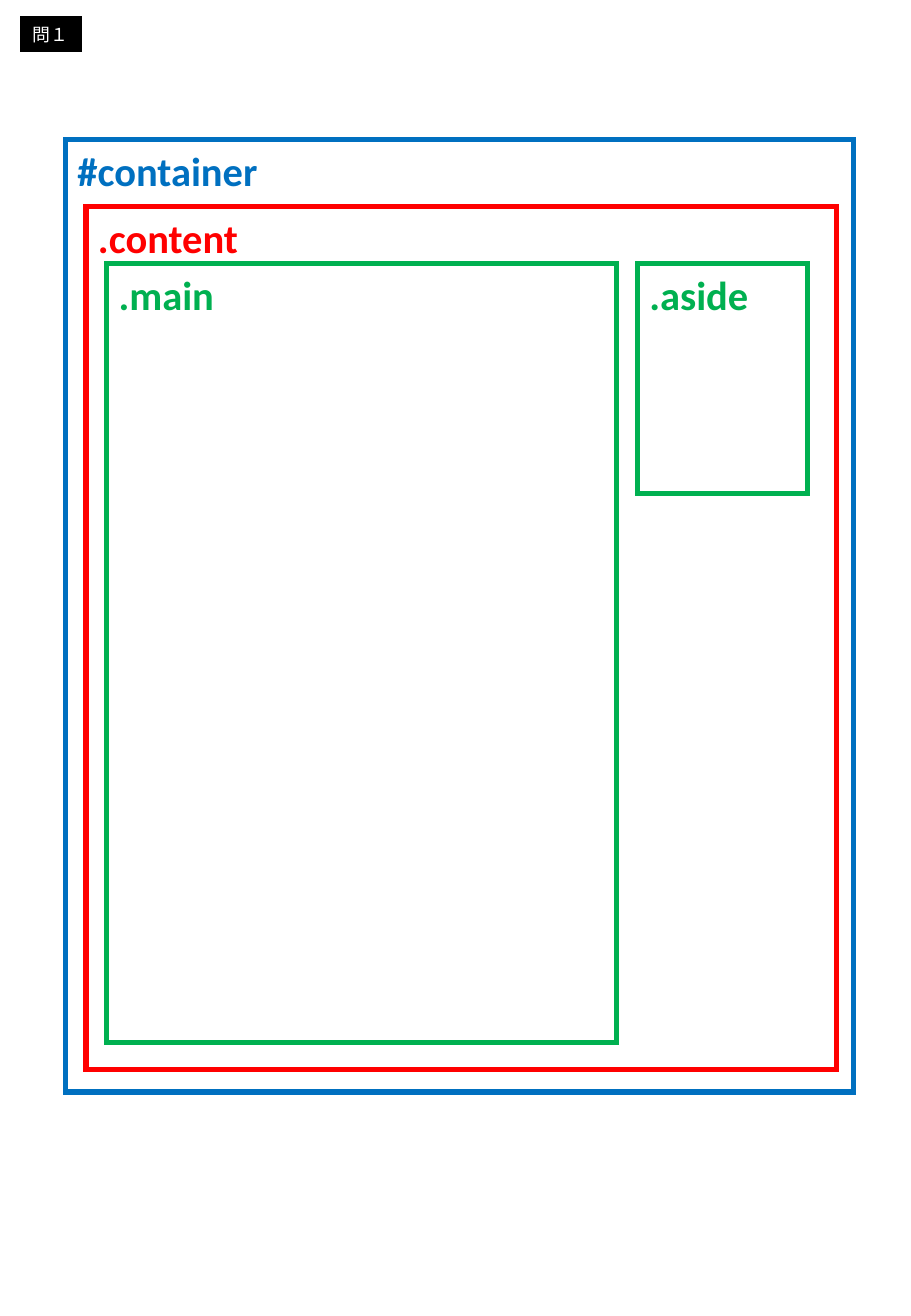
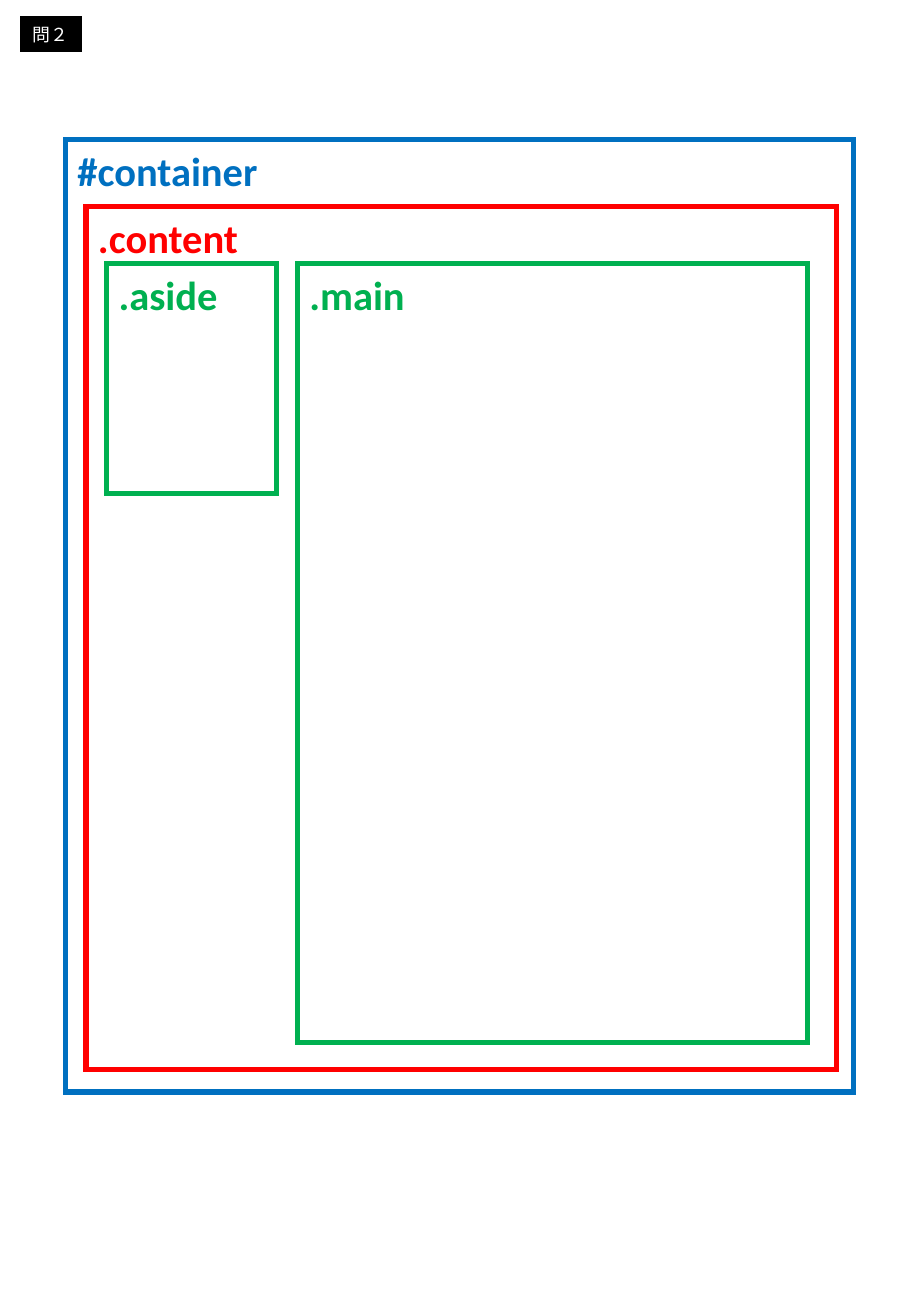
import lxml.etree
import pptx
import pptx.dml.color
import pptx.enum.shapes
import pptx.enum.text
import pptx.oxml.ns
import pptx.util

Cm = pptx.util.Cm
Pt = pptx.util.Pt

BLACK, WHITE = "000000", "FFFFFF"
BLUE, RED, GREEN = "0070C0", "FF0000", "00B050"

GAP = 0.43
CONTAINER = (1.37, 2.92, 16.48, 19.91)
CONTENT = (1.37 + GAP, 4.32, 15.7, 18.03)
COLUMNS_LEFT, COLUMNS_TOP = 1.37 + 2 * GAP, 5.51
COLUMN_SIZES = {".main": (10.67, 16.28), ".aside": (3.56, 4.8)}

QUESTIONS = [
    ("問１", (".main", ".aside")),
    ("問２", (".aside", ".main")),
]


def color(hex_string):
    return pptx.dml.color.RGBColor.from_string(hex_string)


def set_attributes(target, values):
    for name, value in values.items():
        setattr(target, name, value)


class LayoutDeck:
    """Holds the shared style, the current slide and its group of frames."""

    title_font = {"name": "Calibri", "size": Pt(10.6), "bold": False}
    frame_font = {"name": "Calibri", "size": Pt(24), "bold": True}
    title_frame = {
        "word_wrap": True,
        "auto_size": pptx.enum.text.MSO_AUTO_SIZE.NONE,
        "vertical_anchor": pptx.enum.text.MSO_ANCHOR.MIDDLE,
    }
    label_frame = {
        "word_wrap": True,
        "vertical_anchor": pptx.enum.text.MSO_ANCHOR.TOP,
    }

    def __init__(self):
        self.presentation = pptx.Presentation()
        self.presentation.slide_width = Cm(19.05)
        self.presentation.slide_height = Cm(27.51)

    def add_slide(self, title):
        title_only = self.presentation.slide_layouts[5]
        self.slide = self.presentation.slides.add_slide(title_only)
        self.add_title(title)
        self.group = self.slide.shapes.add_group_shape()

    def add_title(self, text):
        shape = self.slide.shapes.title
        box = {"left": 0.43, "top": 0.36, "width": 1.27, "height": 0.71}
        set_attributes(shape, {name: Cm(value) for name, value in box.items()})
        shape.fill.solid()
        shape.fill.fore_color.rgb = color(BLACK)
        self.set_line(shape, BLACK, 1)
        self.set_text(shape, text, WHITE, self.title_font, self.title_frame)

    def add_frame(self, text, box, hex_string):
        rectangle = pptx.enum.shapes.MSO_SHAPE.RECTANGLE
        shape = self.group.shapes.add_shape(rectangle, *map(Cm, box))
        shape.shadow.inherit = False
        shape.fill.background()
        self.set_line(shape, hex_string, 3)
        self.set_text(shape, text, hex_string, self.frame_font, self.label_frame)

    def add_columns(self, names):
        """Place the named frames from left to right with equal gaps."""
        left = COLUMNS_LEFT
        for name in names:
            width, height = COLUMN_SIZES[name]
            self.add_frame(name, (left, COLUMNS_TOP, width, height), GREEN)
            left += width + GAP

    def set_line(self, shape, hex_string, points):
        """Draw the outline with square (mitred) corners."""
        shape.line.color.rgb = color(hex_string)
        shape.line.width = Pt(points)
        line = shape.element.spPr.find(pptx.oxml.ns.qn("a:ln"))
        lxml.etree.SubElement(line, pptx.oxml.ns.qn("a:miter"), lim="800000")

    def set_text(self, shape, text, hex_string, font, frame):
        set_attributes(shape.text_frame, frame)
        paragraph = shape.text_frame.paragraphs[0]
        paragraph.alignment = pptx.enum.text.PP_ALIGN.LEFT
        run = paragraph.add_run()
        run.text = text
        set_attributes(run.font, font)
        run.font.color.rgb = color(hex_string)


def main():
    deck = LayoutDeck()
    for title, columns in QUESTIONS:
        deck.add_slide(title)
        deck.add_frame("#container", CONTAINER, BLUE)
        deck.add_frame(".content", CONTENT, RED)
        deck.add_columns(columns)
    deck.presentation.save("out.pptx")


if __name__ == "__main__":
    main()
